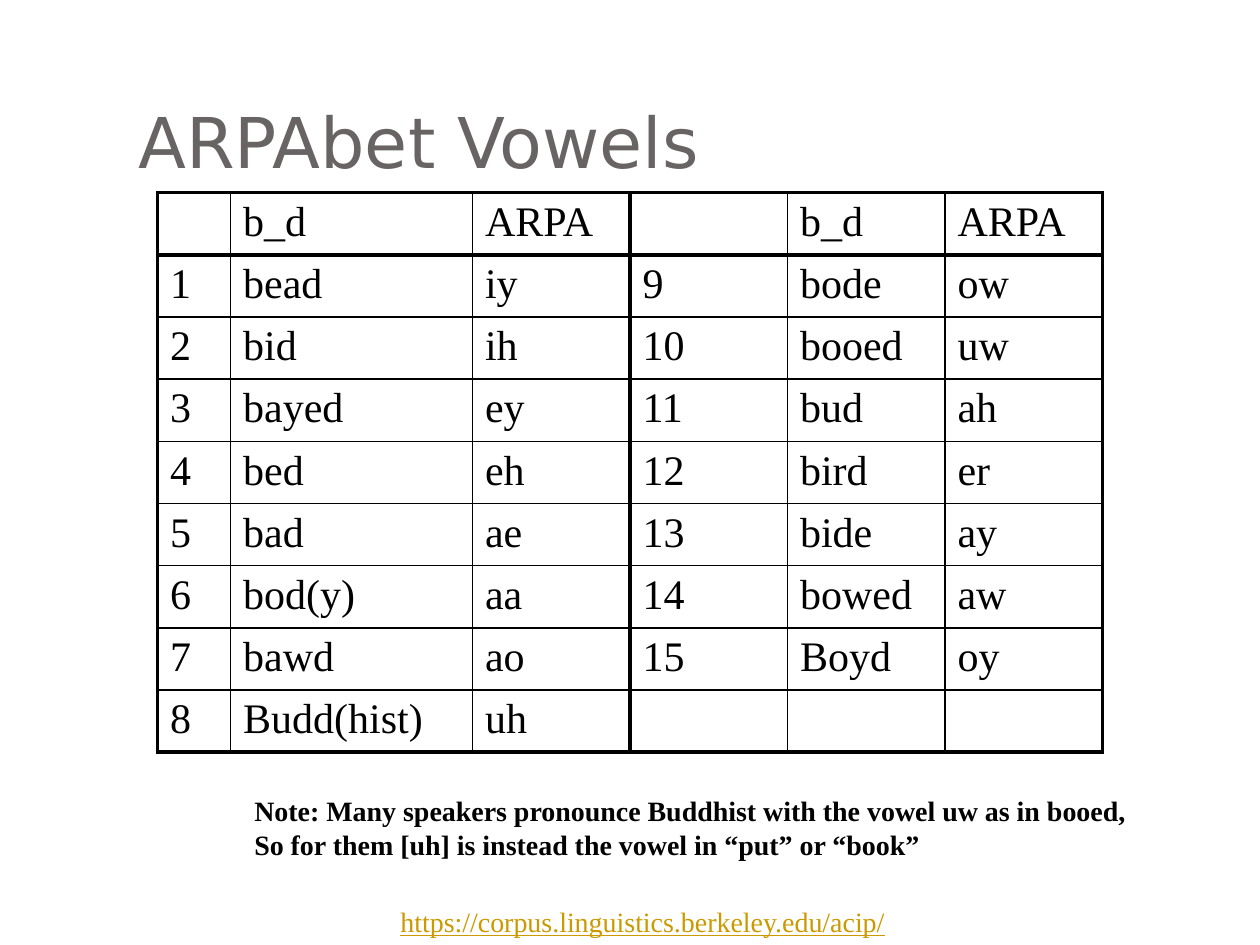
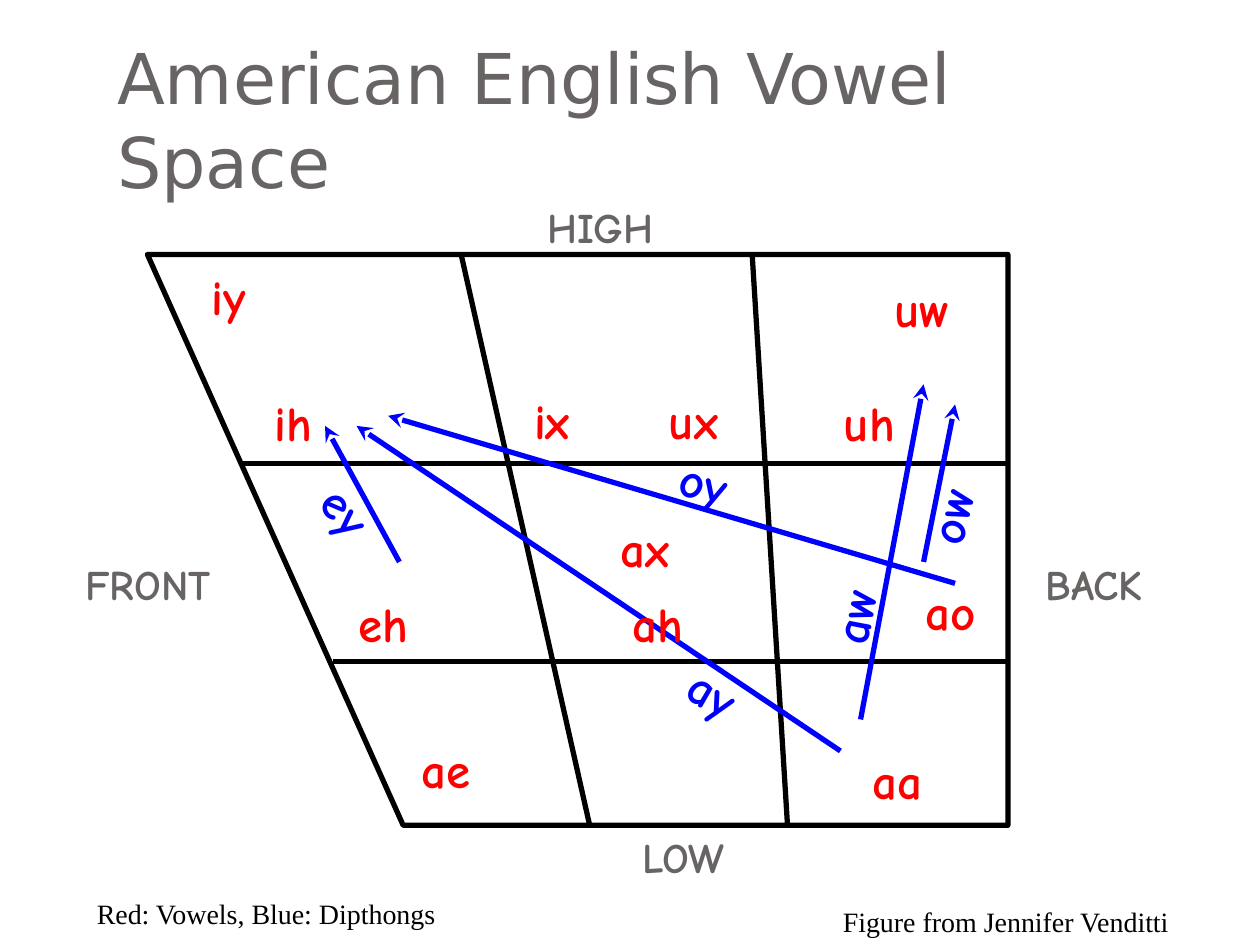
"""Build two slides on ARPAbet vowels: a table of symbols and a vowel space chart."""
import lxml.etree
import pptx
import pptx.dml.color
import pptx.enum.shapes
import pptx.enum.text
import pptx.oxml.ns
import pptx.util

PX = 9144
BLACK, GREY, BLUE, RED, GOLD = "000000", "696464", "0000FF", "FF0000", "CC9900"
SERIF, SANS, COMIC = "Times New Roman", "DejaVu Sans", "Comic Neue"
qn = pptx.oxml.ns.qn


def rgb(color):
    return pptx.dml.color.RGBColor.from_string(color)


def write(tf, text, size=16, color=BLACK, font=SERIF, bold=False, underline=False):
    for i, line in enumerate(text.split("\n")):
        p = tf.add_paragraph() if i else tf.paragraphs[0]
        p.alignment = pptx.enum.text.PP_ALIGN.LEFT
        r = p.add_run()
        r.text = line
        r.font.name = font
        r.font.size = pptx.util.Pt(size)
        r.font.bold = bold
        r.font.underline = underline
        r.font.color.rgb = rgb(color)


prs = pptx.Presentation()
prs.slide_width, prs.slide_height = 1000 * PX, 750 * PX

slides = []
for title, x, y in (("ARPAbet Vowels", 100, 30), ("American English Vowel Space", 83, 46)):
    s = prs.slides.add_slide(prs.slide_layouts[5])
    sp = s.shapes.title
    sp.left, sp.top, sp.width, sp.height = x * PX, y * PX, 850 * PX, 125 * PX
    tf = sp.text_frame
    tf.word_wrap = True
    tf.auto_size = pptx.enum.text.MSO_AUTO_SIZE.NONE
    tf.vertical_anchor = pptx.enum.text.MSO_ANCHOR.BOTTOM
    tf.margin_left = tf.margin_right = tf.margin_bottom = 10 * PX
    tf.margin_top = 5 * PX
    write(tf, title, size=40, color=GREY, font=SANS)
    slides.append(s)
table_slide, space_slide = slides

rows = [
    ("", "b_d", "ARPA", "", "b_d", "ARPA"),
    ("1", "bead", "iy", "9", "bode", "ow"),
    ("2", "bid", "ih", "10", "booed", "uw"),
    ("3", "bayed", "ey", "11", "bud", "ah"),
    ("4", "bed", "eh", "12", "bird", "er"),
    ("5", "bad", "ae", "13", "bide", "ay"),
    ("6", "bod(y)", "aa", "14", "bowed", "aw"),
    ("7", "bawd", "ao", "15", "Boyd", "oy"),
    ("8", "Budd(hist)", "uh", "", "", ""),
]
col_rules = [2.25, 1, 1, 3, 1, 1, 2.25]
row_rules = [2.25, 3] + [1] * 7 + [2.25]
table = table_slide.shapes.add_table(9, 6, 125 * PX, 153 * PX, 750 * PX, 444 * PX).table
table.first_row = table.horz_banding = False
for col, width in zip(table.columns, (58, 192, 125, 125, 125, 125)):
    col.width = width * PX
for i, row in enumerate(rows):
    for j, text in enumerate(row):
        cell = table.cell(i, j)
        if text:
            write(cell.text_frame, text, size=24)
        tc_pr = cell._tc.get_or_add_tcPr()
        edges = {"L": col_rules[j], "R": col_rules[j + 1],
                 "T": row_rules[i], "B": row_rules[i + 1]}
        for side, width in edges.items():
            ln = lxml.etree.SubElement(tc_pr, qn("a:ln" + side), w=str(pptx.util.Pt(width)))
            fill = lxml.etree.SubElement(ln, qn("a:solidFill"))
            lxml.etree.SubElement(fill, qn("a:srgbClr"), val=BLACK)
        cell.fill.background()

fb = space_slide.shapes.build_freeform(117, 202, scale=PX)
fb.add_line_segments([(800, 202), (800, 655), (320, 655)], close=True)
sp = fb.convert_to_shape()
sp.shadow.inherit = False
sp.fill.background()
sp.line.color.rgb = rgb(BLACK)
sp.line.width = pptx.util.Pt(3)

grid_lines = [(191, 368, 800, 368), (264, 525, 800, 525),
              (468, 655, 366, 202), (625, 655, 597, 202)]
glides = [(317, 446, 258, 338), (733, 446, 758, 321), (683, 571, 733, 305),
          (758, 463, 308, 330), (667, 596, 283, 338)]
for lines, color in ((grid_lines, BLACK), (glides, BLUE)):
    for ends in lines:
        cxn = space_slide.shapes.add_connector(
            pptx.enum.shapes.MSO_CONNECTOR.STRAIGHT, *[v * PX for v in ends])
        cxn.line.color.rgb = rgb(color)
        cxn.line.width = pptx.util.Pt(3)
        if lines is glides:
            lxml.etree.SubElement(cxn.line._get_or_add_ln(), qn("a:tailEnd"), type="stealth")
        lxml.etree.SubElement(cxn._element.spPr, qn("a:effectLst"))

links = [("https://corpus.linguistics.berkeley.edu/acip/", 308, 713, 411, 0)]
notes = [("Note: Many speakers pronounce Buddhist with the vowel uw as in booed,\n"
          "So for them [uh] is instead the vowel in “put” or “book”", 192, 625, 714, 0)]
directions = [("FRONT", 58, 438, 139, 0), ("BACK", 820, 438, 107, 0),
              ("HIGH", 425, 155, 112, 0), ("LOW", 500, 655, 100, 0)]
diphthongs = [("ey", 246, 380, 63, 52.8), ("ow", 721, 379, 67, 284.2),
              ("aw", 644, 458, 68, 280.7), ("oy", 530, 355, 62, 15.3),
              ("ay", 537, 523, 63, 29.9)]
vowels = [("iy", 158, 207, 53, 0), ("ih", 208, 307, 53, 0), ("eh", 275, 466, 64, 0),
          ("ae", 325, 582, 64, 0), ("aa", 683, 591, 63, 0), ("ao", 725, 457, 62, 0),
          ("uw", 700, 216, 67, 0), ("uh", 660, 307, 63, 0), ("ah", 492, 466, 64, 0),
          ("ax", 483, 407, 65, 0), ("ix", 414, 305, 54, 0), ("ux", 521, 305, 63, 0)]
captions = [("Figure from Jennifer Venditti", 659, 713, 282, 0),
            ("Red: Vowels, Blue: Dipthongs", 67, 707, 293, 0)]
label_sets = [
    (table_slide, links, 37, dict(color=GOLD, underline=True)),
    (table_slide, notes, 64, dict(bold=True)),
    (space_slide, directions, 50, dict(size=24, color=GREY, font=COMIC, bold=True)),
    (space_slide, diphthongs, 57, dict(size=28, color=BLUE, font=COMIC, bold=True)),
    (space_slide, vowels, 57, dict(size=28, color=RED, font=COMIC, bold=True)),
    (space_slide, captions, 37, {}),
]
for s, labels, height, look in label_sets:
    for text, x, y, width, angle in labels:
        sp = s.shapes.add_textbox(x * PX, y * PX, width * PX, height * PX)
        sp.rotation = angle
        sp.text_frame.word_wrap = False
        sp.text_frame.auto_size = pptx.enum.text.MSO_AUTO_SIZE.SHAPE_TO_FIT_TEXT
        write(sp.text_frame, text, **look)

prs.save("out.pptx")
